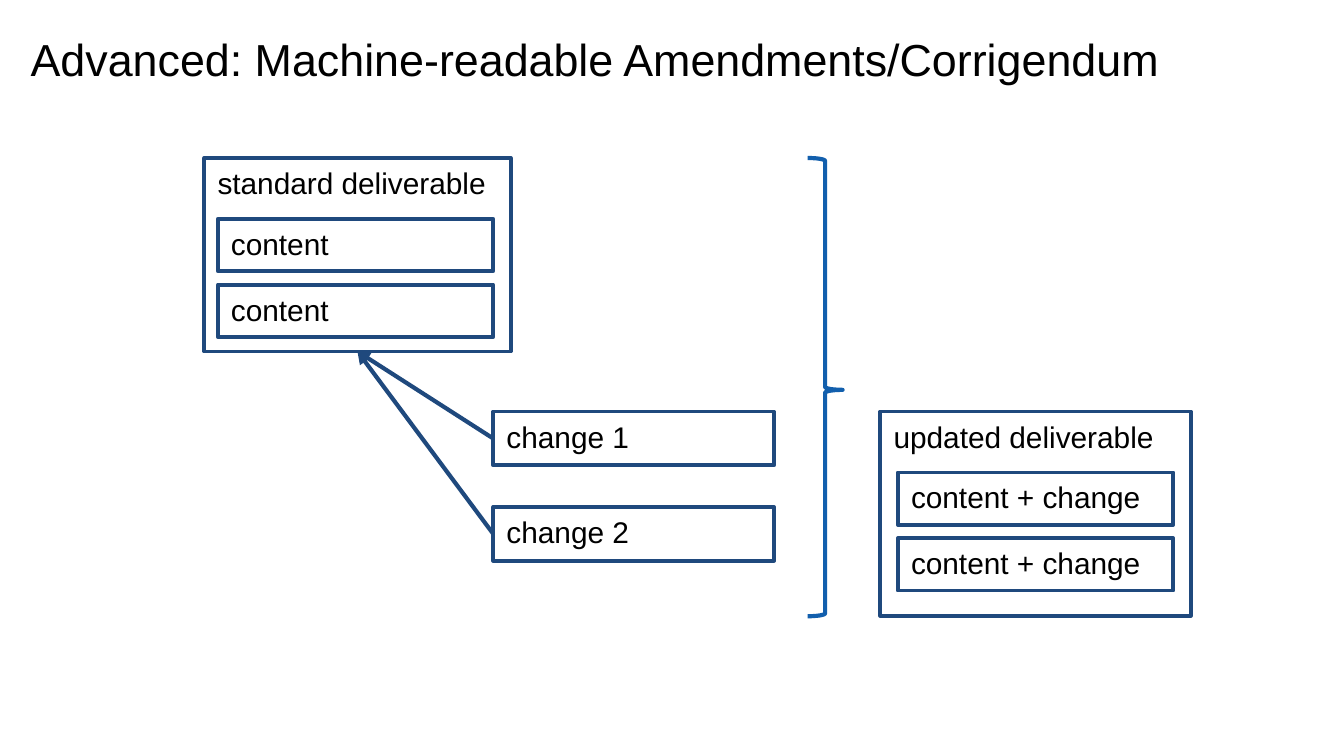
import pptx
import pptx.util
import pptx.dml.color
import pptx.enum.shapes
import pptx.enum.text
import pptx.oxml.ns
from lxml import etree

# Content: places are percent of the slide's width and height
SIZE = (10, 10 * 9 / 16)
HEX = {"text": "000000", "edge": "1F497D", "brace": "125FAD"}
FONT = "Arial"
TITLE = ("Advanced: Machine-readable Amendments/Corrigendum", (1.3, 3.3, 94.3, 12.62))
PANELS = [
    {"name": "standard deliverable", "at": (15.2, 20.9, 22.8, 25.6),
     "items": ["content", "content"], "inset": (1, 8.05)},
    {"name": "updated deliverable", "at": (65.5, 54.45, 23.1, 27.02),
     "items": ["content + change", "content + change"], "inset": (1.3, 8.05)},
]
ITEM = (20.5, 6.93)
STEP = 8.71
CHANGES = ["change 1", "change 2"]
CHANGE = (36.7, 54.45, 20.9, 7.11)
GAP = 12.62
BRACE = (60.1, 20.9, 2.6, 60.62)
BEND = (8.3, 50.6)

KIND = pptx.enum.shapes.MSO_SHAPE
deck = pptx.Presentation()
deck.slide_width, deck.slide_height = (pptx.util.Inches(n) for n in SIZE)
slide = deck.slides.add_slide(deck.slide_layouts[6])
shapes = slide.shapes


def place(at):
    """Turn percent of the slide into lengths."""
    return [pptx.util.Inches(n / 100 * SIZE[i % 2]) for i, n in enumerate(at)]


def tint(name):
    return pptx.dml.color.RGBColor.from_string(HEX[name])


def stroke(line, name, width):
    line.color.rgb = tint(name)
    line.width = pptx.util.Pt(width)


def write(shape, text, size):
    frame = shape.text_frame
    frame.text = text
    frame.word_wrap = True
    frame.vertical_anchor = pptx.enum.text.MSO_ANCHOR.TOP
    para = frame.paragraphs[0]
    para.alignment = pptx.enum.text.PP_ALIGN.LEFT
    font = para.runs[0].font
    font.name, font.size = FONT, pptx.util.Pt(size)
    font.color.rgb = tint("text")


def outline(kind, at, name, width):
    shape = shapes.add_shape(kind, *place(at))
    shape.shadow.inherit = False
    shape.fill.background()
    stroke(shape.line, name, width)
    return shape


def box(text, at):
    shape = outline(KIND.RECTANGLE, at, "edge", 2)
    write(shape, text, 16)
    return shape


def arrow(start, end):
    """Join the left side of start to the bottom of end."""
    link = shapes.add_connector(pptx.enum.shapes.MSO_CONNECTOR.STRAIGHT, 0, 0, 0, 0)
    link.begin_connect(start, 1)
    link.end_connect(end, 2)
    stroke(link.line, "edge", 2.25)
    tag = pptx.oxml.ns.qn
    etree.SubElement(link.line._get_or_add_ln(), tag("a:tailEnd"), type="triangle")
    etree.SubElement(link._element.spPr, tag("a:effectLst"))


# Title
text, at = TITLE
write(shapes.add_textbox(*place(at)), text, 24)

# Deliverables with their content
frames = []
for panel in PANELS:
    frames.append(box(panel["name"], panel["at"]))
    left, top = (a + b for a, b in zip(panel["at"], panel["inset"]))
    for row, item in enumerate(panel["items"]):
        box(item, (left, top + row * STEP, *ITEM))

# Changes, each pointing at the standard
left, top, wide, high = CHANGE
for row, name in enumerate(CHANGES):
    arrow(box(name, (left, top + row * GAP, wide, high)), frames[0])

# Brace leading to the updated deliverable
brace = outline(KIND.RIGHT_BRACE, BRACE, "brace", 2.25)
for i, share in enumerate(BEND):
    brace.adjustments[i] = share / 100

deck.save("out.pptx")
